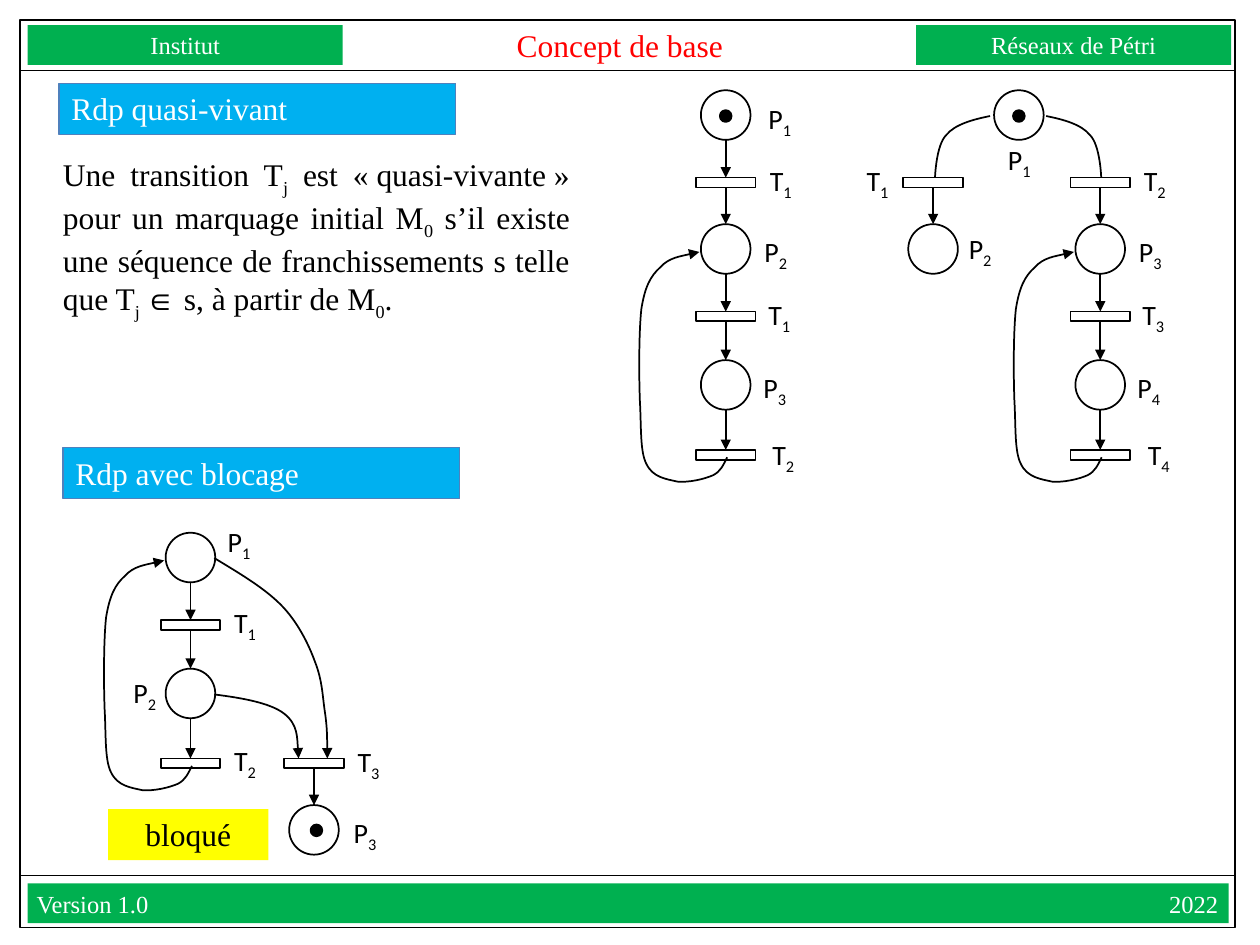
import lxml.etree
import pptx
import pptx.dml.color
import pptx.enum.shapes
import pptx.enum.text
import pptx.oxml.ns
import pptx.util

Cm, Pt = pptx.util.Cm, pptx.util.Pt
qn = pptx.oxml.ns.qn
RGBColor = pptx.dml.color.RGBColor
PRESET = pptx.enum.shapes.MSO_SHAPE
ALIGN = pptx.enum.text.PP_ALIGN
ANCHOR = pptx.enum.text.MSO_ANCHOR
AUTOSIZE = pptx.enum.text.MSO_AUTO_SIZE

BLACK = RGBColor(0x00, 0x00, 0x00)
WHITE = RGBColor(0xFF, 0xFF, 0xFF)
RED = RGBColor(0xFF, 0x00, 0x00)
GREEN = RGBColor(0x00, 0xB0, 0x50)
SKY = RGBColor(0x00, 0xB0, 0xF0)
EDGE_BLUE = RGBColor(0x4F, 0x81, 0xBD)
YELLOW = RGBColor(0xFF, 0xFF, 0x00)
SERIF, SANS = "Times New Roman", "Calibri"

PLACE, TOKEN = 1.0, 0.2
BAR_WIDTH, BAR_HEIGHT = 1.2, 0.2
LABEL_WIDTH, LABEL_HEIGHT = 1.2, 0.94
FRAME_LEFT, FRAME_RIGHT = 0.41, 24.9

TITLE = "Concept de base"
HEADERS = [("Institut", 0.56), ("Réseaux de Pétri", 18.47)]
FOOTER = "Version 1.0\t2022"
BANNERS = [("Rdp quasi-vivant", 1.19, 1.68), ("Rdp avec blocage", 1.27, 9.02)]
VERDICT = "bloqué"
DEFINITION = [
    ("Une transition T", "j"),
    (" est «\u00a0quasi-vivante\u00a0» pour un marquage initial M", "0"),
    (" s’il existe une séquence de franchissements s telle que T", "j "),
    ("∈ s, à partir de M", "0"),
    (".", ""),
]

# Each chain: column x, then nodes (letter, index, centre y, label left, label top)
CHAINS = [
    (14.63, [("P", "1", 2.32, 15.24, 1.93), ("T", "1", 3.68, 15.27, 3.18),
             ("P", "2", 5.02, 15.16, 4.6), ("T", "1", 6.38, 15.24, 5.87),
             ("P", "3", 7.76, 15.14, 7.34), ("T", "2", 9.17, 15.32, 8.69)]),
    (20.54, [("P", "1", 2.32, 20.07, 2.74)]),
    (18.81, [("T", "1", 3.68, 17.22, 3.18), ("P", "2", 5.02, 19.28, 4.55)]),
    (22.18, [("T", "2", 3.68, 22.81, 3.18), ("P", "3", 5.02, 22.71, 4.6),
             ("T", "3", 6.38, 22.78, 5.87), ("P", "4", 7.76, 22.68, 7.34),
             ("T", "4", 9.17, 22.89, 8.69)]),
    (3.84, [("P", "1", 11.24, 4.34, 10.44), ("T", "1", 12.6, 4.47, 12.09),
            ("P", "2", 13.98, 2.44, 13.49), ("T", "2", 15.39, 4.47, 14.86)]),
    (6.33, [("T", "3", 15.39, 6.96, 14.88), ("P", "3", 16.73, 6.88, 16.31)]),
]
TOKENS = [(14.63, 2.34), (20.54, 2.34), (6.38, 16.74)]
LOOP_STARTS = [(14.63, 5.02), (22.18, 5.02), (3.84, 11.24)]
LOOP = [(0.03, 4.2), (-0.05, 4.36), (-0.1, 4.48), (-0.25, 4.56),
        (-0.43, 4.64), (-0.74, 4.71), (-0.97, 4.69),
        (-1.19, 4.64), (-1.47, 4.61), (-1.6, 4.33),
        (-1.73, 4.08), (-1.7, 3.57), (-1.73, 3.06),
        (-1.75, 2.53), (-1.75, 1.66), (-1.7, 1.21),
        (-1.63, 0.77), (-1.52, 0.55), (-1.32, 0.37),
        (-1.14, 0.17), (-0.53, 0.06), (-0.53, 0.06)]
BRANCH = [(19.96, 2.34), (19.61, 2.41), (19.25, 2.51), (19.08, 2.72),
          (18.87, 2.92), (18.85, 3.58), (18.85, 3.58)]
BRANCH_MIRROR = 41.05
TO_T3 = [
    [(4.32, 14.0), (4.88, 14.07), (5.44, 14.17), (5.72, 14.38),
     (6.02, 14.61), (6.02, 15.29), (6.02, 15.29)],
    [(4.32, 11.25), (4.83, 11.56), (5.31, 11.84), (5.66, 12.19),
     (5.99, 12.52), (6.22, 12.98), (6.35, 13.34),
     (6.5, 13.72), (6.5, 14.02), (6.55, 14.35),
     (6.6, 14.68), (6.6, 15.29), (6.6, 15.29)],
]


def add_run(paragraph, text, size, color, font=SERIF, subscript=False):
    run = paragraph.add_run()
    run.text = text
    run.font.size, run.font.name = Pt(size), font
    run.font.color.rgb = color
    if subscript:
        run.font._element.set("baseline", "-25000")


def set_frame(shape, align=ALIGN.LEFT, tight=False, autosize=AUTOSIZE.SHAPE_TO_FIT_TEXT):
    frame = shape.text_frame
    frame.word_wrap, frame.auto_size = True, autosize
    frame.vertical_anchor = ANCHOR.MIDDLE if tight else ANCHOR.TOP
    if tight:
        frame.margin_left = frame.margin_right = frame.margin_top = frame.margin_bottom = 0
    paragraph = frame.paragraphs[0]
    paragraph.alignment = align
    return paragraph


def add_box(left, top, width, height, preset=PRESET.RECTANGLE, fill=None, line=None, weight=1):
    box = slide.shapes.add_shape(preset, Cm(left), Cm(top), Cm(width), Cm(height))
    return style(box, fill, line, weight)


def style(shape, fill=None, line=None, weight=1):
    shape.shadow.inherit = False
    if fill is None:
        shape.fill.background()
    else:
        shape.fill.solid()
        shape.fill.fore_color.rgb = fill
    if line is None:
        shape.line.fill.background()
    else:
        shape.line.color.rgb, shape.line.width = line, Pt(weight)
    return shape


def centred(x, y, width, height, **look):
    return add_box(x - width / 2, y - height / 2, width, height, line=BLACK, **look)


def add_arrowhead(shape):
    outline = shape._element.spPr.find(qn("a:ln"))
    lxml.etree.SubElement(outline, qn("a:tailEnd"), type="triangle")


def add_line(x1, y1, x2, y2, weight=1):
    line = slide.shapes.add_connector(
        pptx.enum.shapes.MSO_CONNECTOR.STRAIGHT, Cm(x1), Cm(y1), Cm(x2), Cm(y2))
    line.line.color.rgb, line.line.width = BLACK, Pt(weight)
    lxml.etree.SubElement(line._element.spPr, qn("a:effectLst"))
    return line


def add_curve(points, arrow=True):
    start, *rest = [(Cm(x), Cm(y)) for x, y in points]
    builder = slide.shapes.build_freeform(*start)
    builder.add_line_segments(rest, close=False)
    curve = style(builder.convert_to_shape(), line=BLACK)
    segments = list(curve._element.iter(qn("a:lnTo")))
    outline = segments[0].getparent()
    for first in range(0, len(segments), 3):
        bezier = lxml.etree.SubElement(outline, qn("a:cubicBezTo"))
        for segment in segments[first:first + 3]:
            bezier.append(segment[0])
            outline.remove(segment)
    if arrow:
        add_arrowhead(curve)


def half_height(letter):
    return (PLACE if letter == "P" else BAR_HEIGHT) / 2


def add_node(x, letter, index, y, label_left, label_top):
    if letter == "P":
        centred(x, y, PLACE, PLACE, preset=PRESET.OVAL)
    else:
        centred(x, y, BAR_WIDTH, BAR_HEIGHT)
    label = slide.shapes.add_textbox(
        Cm(label_left), Cm(label_top), Cm(LABEL_WIDTH), Cm(LABEL_HEIGHT))
    paragraph = set_frame(label)
    add_run(paragraph, letter, 16, BLACK, SANS)
    add_run(paragraph, index, 16, BLACK, SANS, subscript=True)


deck = pptx.Presentation()
deck.slide_width, deck.slide_height = Cm(25.4), Cm(19.05)
slide = deck.slides.add_slide(deck.slide_layouts[5])

title = slide.shapes.title
title.left, title.top, title.width, title.height = Cm(9.32), Cm(0.51), Cm(6.35), Cm(0.8)
add_run(set_frame(title, ALIGN.CENTER, True, AUTOSIZE.NONE), TITLE, 18, RED)

add_box(FRAME_LEFT, 0.41, FRAME_RIGHT - FRAME_LEFT, 18.29, line=BLACK)
for y in (1.42, 17.65):
    add_line(FRAME_LEFT, y, FRAME_RIGHT, y, 0.75)
for text, left in HEADERS:
    header = add_box(left, 0.51, 6.35, 0.8, fill=GREEN)
    add_run(set_frame(header, ALIGN.CENTER, True), text, 14, WHITE)

footer = add_box(0.56, 17.81, 24.21, 0.8, fill=GREEN)
footer_line = set_frame(footer, tight=True)
footer.text_frame.margin_left = footer.text_frame.margin_right = Cm(0.18)
tabs = lxml.etree.SubElement(footer_line._p.get_or_add_pPr(), qn("a:tabLst"))
lxml.etree.SubElement(tabs, qn("a:tab"), pos=str(Cm(23.82)), algn="r")
add_run(footer_line, FOOTER, 14, WHITE)

for text, left, top in BANNERS:
    banner = add_box(left, top, 8.0, 1.03, fill=SKY, line=EDGE_BLUE, weight=0.75)
    add_run(set_frame(banner), text, 18, WHITE)

definition = slide.shapes.add_textbox(Cm(1.02), Cm(3.0), Cm(10.72), Cm(3.33))
sentence = set_frame(definition, ALIGN.JUSTIFY)
for text, subscript in DEFINITION:
    add_run(sentence, text, 18, BLACK)
    if subscript:
        add_run(sentence, subscript, 18, BLACK, subscript=True)

for x, nodes in CHAINS:
    for node in nodes:
        add_node(x, *node)
    for upper, lower in zip(nodes, nodes[1:]):
        add_arrowhead(add_line(x, upper[2] + half_height(upper[0]),
                               x, lower[2] - half_height(lower[0])))
for x, y in TOKENS:
    centred(x, y, TOKEN, TOKEN, preset=PRESET.OVAL, fill=BLACK, weight=2)
for x, y in LOOP_STARTS:
    add_curve([(x + dx, y + dy) for dx, dy in LOOP])
add_curve(BRANCH, arrow=False)
add_curve([(BRANCH_MIRROR - x, y) for x, y in BRANCH], arrow=False)
for points in TO_T3:
    add_curve(points)

verdict = add_box(2.18, 16.31, 3.23, 1.03, fill=YELLOW)
add_run(set_frame(verdict, ALIGN.CENTER), VERDICT, 18, BLACK)

deck.save("out.pptx")
